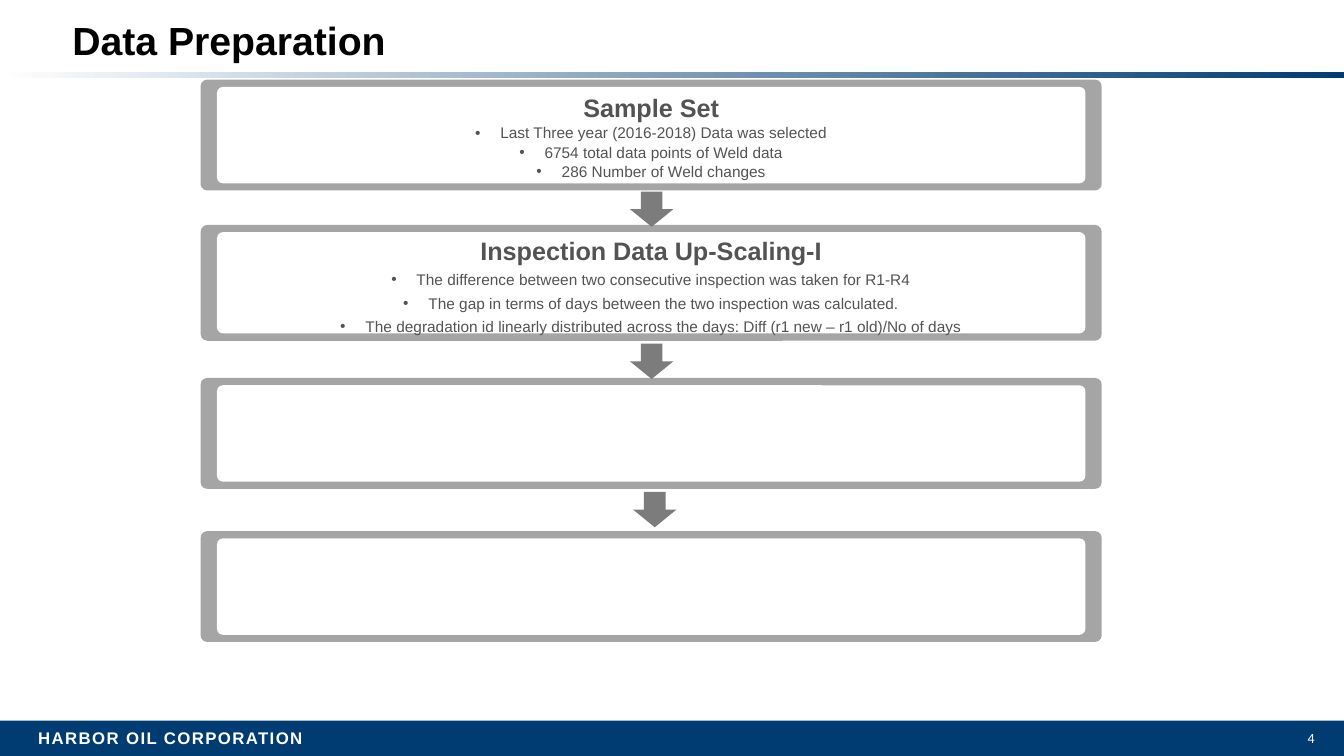
from dataclasses import dataclass

from lxml import etree
from pptx import Presentation
from pptx.dml.color import RGBColor
from pptx.enum.shapes import MSO_SHAPE
from pptx.enum.text import MSO_ANCHOR, PP_ALIGN
from pptx.oxml.ns import qn
from pptx.util import Pt

RECTANGLE, ROUNDED = MSO_SHAPE.RECTANGLE, MSO_SHAPE.ROUNDED_RECTANGLE
DOWN_ARROW = MSO_SHAPE.DOWN_ARROW
TOP, MIDDLE = MSO_ANCHOR.TOP, MSO_ANCHOR.MIDDLE
LEFT, CENTER, RIGHT = PP_ALIGN.LEFT, PP_ALIGN.CENTER, PP_ALIGN.RIGHT


@dataclass(frozen=True)
class Theme:
    navy: str = "003C71"
    white: str = "FFFFFF"
    black: str = "000000"
    frame: str = "A5A5A5"
    arrow: str = "7C7C7C"
    text: str = "535353"
    font: str = "Arial"
    number_font: str = "Calibri"
    title_size: int = 28
    heading_size: int = 18
    bullet_size: int = 11
    footer_size: int = 12
    number_size: int = 10


# Each card: top, height, top inset, space before bullets, heading, bullets
CARDS = [
    (56.9, 79.2, 2, 0, "Sample Set", [
        "Last Three year (2016-2018) Data was selected",
        "6754 total data points of Weld data",
        "286 Number of Weld changes"]),
    (160.6, 82.8, 4, 3, "Inspection Data Up-Scaling-I", [
        "The difference between two consecutive inspection was taken for R1-R4",
        "The gap in terms of days between the two inspection was calculated.",
        "The degradation id linearly distributed across the days: "
        "Diff (r1 new – r1 old)/No of days"]),
    (270, 79.2, 0, 0, None, []),
    (379.4, 79.2, 0, 0, None, []),
]
ARROWS = [(450, 136.8), (450, 245.5), (452.2, 351.4)]


def write(para, text, *, size, color, font, bold=False, align=LEFT,
          before=0, spacing=None, bullet=False, tracking=0):
    """Put formatted text into a paragraph."""
    if bullet:
        props = para._p.get_or_add_pPr()
        props.set("marL", str(Pt(18)))
        props.set("indent", str(-Pt(18)))
        etree.SubElement(props, qn("a:buFont"), typeface=font)
        etree.SubElement(props, qn("a:buChar"), char="•")
    para.alignment = align
    para.space_before = Pt(before)
    if spacing:
        para.line_spacing = spacing
    span = para.add_run()
    span.text = text
    span.font.size = Pt(size)
    span.font.bold = bold
    span.font.name = font
    span.font.color.rgb = RGBColor.from_string(color)
    if tracking:
        span._r.get_or_add_rPr().set("spc", str(tracking * 100))


class Page:
    def __init__(self, deck, theme):
        self.theme = theme
        self.shapes = deck.slides.add_slide(deck.slide_layouts[6]).shapes

    def shape(self, kind, left, top, width, height, fill, fade_to=None):
        shape = self.shapes.add_shape(kind, Pt(left), Pt(top), Pt(width), Pt(height))
        shape.shadow.inherit = False
        shape.line.fill.background()
        if kind == ROUNDED:
            shape.adjustments[0] = 0.06
        if fade_to:
            shape.fill.gradient()
            shape.fill.gradient_angle = 0
            for stop, color in zip(shape.fill.gradient_stops, (fill, fade_to)):
                stop.color.rgb = RGBColor.from_string(color)
        else:
            shape.fill.solid()
            shape.fill.fore_color.rgb = RGBColor.from_string(fill)
        return shape

    def label(self, text, left, top, width, height, anchor=TOP, wrap=True, **style):
        box = self.shapes.add_textbox(Pt(left), Pt(top), Pt(width), Pt(height))
        frame = box.text_frame
        frame.word_wrap = wrap
        frame.vertical_anchor = anchor
        write(frame.paragraphs[0], text, **style)

    def card(self, top, height, inset, gap, heading, bullets):
        theme = self.theme
        self.shape(ROUNDED, 143.3, top, 643.7, height, theme.frame)
        panel = self.shape(ROUNDED, 155, top + 5.2, 620.3, height - 10.4, theme.white)
        if not heading:
            return
        frame = panel.text_frame
        frame.word_wrap = True
        frame.vertical_anchor = MIDDLE
        frame.margin_top, frame.margin_bottom = Pt(inset), 0
        style = dict(color=theme.text, font=theme.font, align=CENTER)
        write(frame.paragraphs[0], heading, size=theme.heading_size, bold=True, **style)
        for bullet in bullets:
            write(frame.add_paragraph(), bullet, size=theme.bullet_size,
                  before=gap, spacing=1.04, bullet=True, **style)

    def arrow(self, left, top):
        self.shape(DOWN_ARROW, left, top, 31, 25.2, self.theme.arrow)


def main():
    deck = Presentation()
    deck.slide_width, deck.slide_height = Pt(960), Pt(540)
    theme = Theme()
    page = Page(deck, theme)

    # Header rule and footer band
    page.shape(RECTANGLE, 0, 514.8, 960, 25.2, theme.navy)
    page.shape(RECTANGLE, 0, 51.1, 960, 5, theme.white, fade_to=theme.navy)
    page.label("HARBOR OIL CORPORATION", 20.2, 516.2, 206, 21.6, wrap=False,
               size=theme.footer_size, color=theme.white, font=theme.font,
               bold=True, tracking=1)
    page.label("4", 722.2, 517.7, 224, 28.8, align=RIGHT, size=theme.number_size,
               color=theme.white, font=theme.number_font)

    # Title
    page.label("Data Preparation", 44.6, 0, 867, 56.2, anchor=MIDDLE,
               size=theme.title_size, color=theme.black, font=theme.font, bold=True)

    # Process steps and the arrows between them
    for card in CARDS:
        page.card(*card)
    for arrow in ARROWS:
        page.arrow(*arrow)

    deck.save("out.pptx")


if __name__ == "__main__":
    main()
